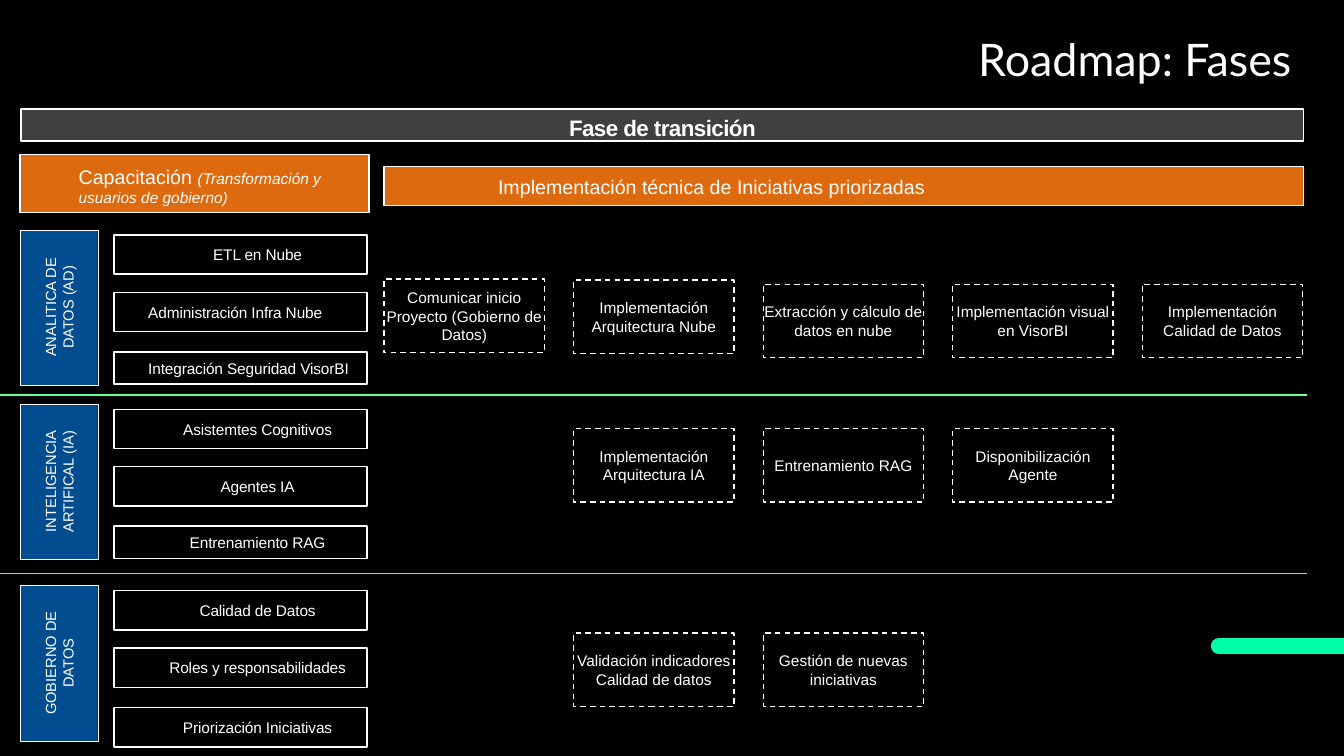
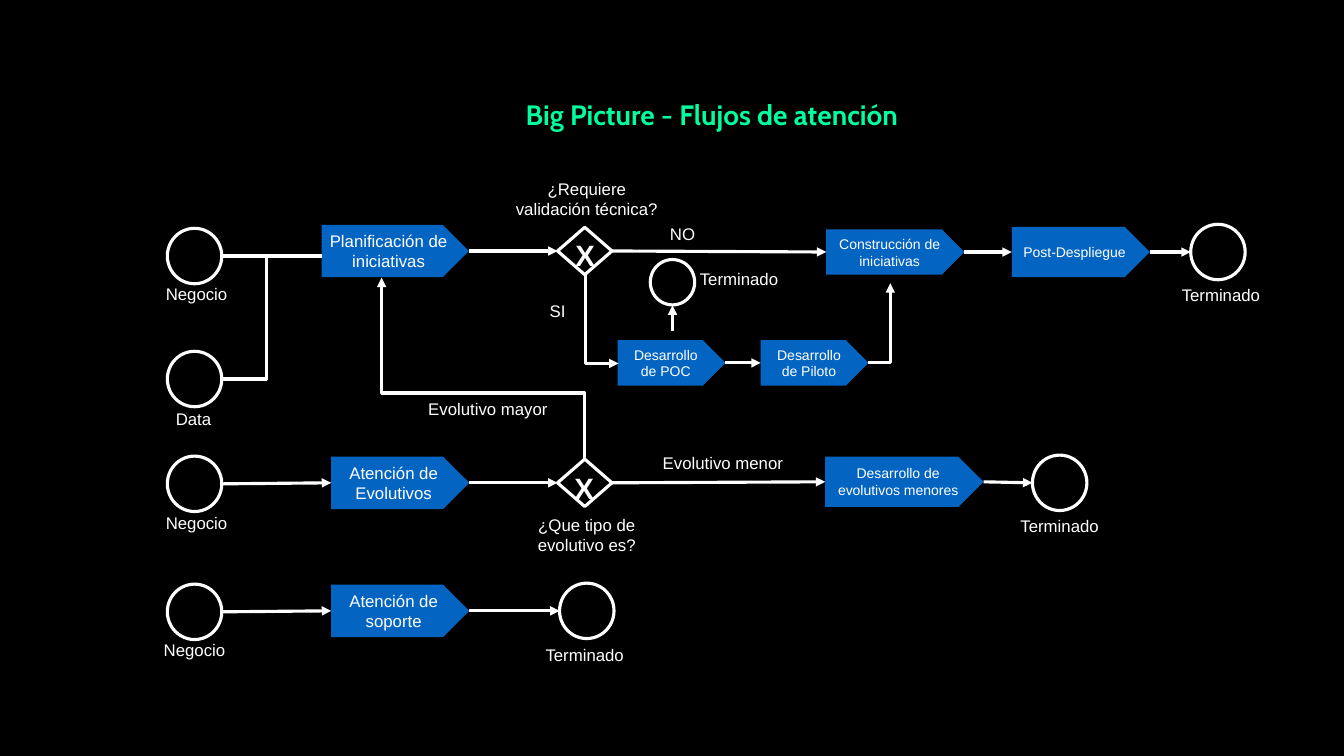
from dataclasses import dataclass

from lxml import etree
from pptx import Presentation
from pptx.dml.color import RGBColor
from pptx.enum.dml import MSO_LINE
from pptx.enum.shapes import MSO_CONNECTOR, MSO_SHAPE
from pptx.enum.text import MSO_ANCHOR, PP_ALIGN
from pptx.oxml.ns import qn
from pptx.util import Inches, Pt

LEFT, CENTER, RIGHT = PP_ALIGN.LEFT, PP_ALIGN.CENTER, PP_ALIGN.RIGHT
MIDDLE, TOP = MSO_ANCHOR.MIDDLE, MSO_ANCHOR.TOP
STRAIGHT, ELBOW = MSO_CONNECTOR.STRAIGHT, MSO_CONNECTOR.ELBOW
RECTANGLE, CIRCLE = MSO_SHAPE.RECTANGLE, MSO_SHAPE.OVAL
DIAMOND, PLATE = MSO_SHAPE.DIAMOND, MSO_SHAPE.PENTAGON
DASH = MSO_LINE.DASH
SIDE_LEFT, SIDE_RIGHT = 1, 3


@dataclass(frozen=True)
class Theme:
    width: float = 13.33
    height: float = 7.5
    back: str = "000000"
    white: str = "FFFFFF"
    gray: str = "404040"
    orange: str = "DE6A10"
    navy: str = "024C90"
    blue: str = "0464C1"
    accent: str = "00FFA9"
    divider: str = "69FF99"
    heading: str = "00FF9F"
    body_font: str = "Arial"
    title_font: str = "Lato"
    heading_font: str = "Cabin"
    title: float = 32
    subtitle: float = 20
    mark: float = 21
    phase: float = 16
    stage: float = 14
    label: float = 12
    item: float = 11
    area: float = 10.5
    small: float = 10
    thin: float = 1
    flow: float = 2.25


THEME = Theme()

AREAS = [
    {
        "name": "ANALITICA DE DATOS (AD)", "top": 2.28, "last_height": 0.32,
        "courses": [("ETL en Nube", CENTER), ("Administración Infra Nube", LEFT),
                    ("Integración Seguridad VisorBI", LEFT)],
        "row": 2.82,
        "initiatives": [(0, "Comunicar inicio Proyecto (Gobierno de Datos)", 0.05),
                        (1, "Implementación Arquitectura Nube", 0.04),
                        (2, "Extracción y cálculo de datos en nube", 0),
                        (3, "Implementación visual en VisorBI", 0),
                        (4, "Implementación Calidad de Datos", 0)],
    },
    {
        "name": "INTELIGENCIA ARTIFICAL (IA)", "top": 4.01, "last_height": 0.32,
        "courses": [("Asistemtes Cognitivos", CENTER), ("Agentes IA", CENTER),
                    ("Entrenamiento RAG", CENTER)],
        "row": 4.25,
        "initiatives": [(1, "Implementación Arquitectura IA", 0),
                        (2, "Entrenamiento RAG", 0),
                        (3, "Disponibilización Agente", 0)],
    },
    {
        "name": "GOBIERNO DE DATOS", "top": 5.81, "last_height": 0.39,
        "courses": [("Calidad de Datos", CENTER), ("Roles y responsabilidades", CENTER),
                    ("Priorización Iniciativas", CENTER)],
        "row": 6.28,
        "initiatives": [(1, "Validación indicadores Calidad de datos", 0),
                        (2, "Gestión de nuevas iniciativas", 0)],
    },
]
COURSE_OFFSETS = (0.05, 0.62, 1.21)
COURSE_HEIGHT = 0.39
DIVIDERS = (3.92, 5.69)
FIRST_COLUMN, COLUMN_STEP = 3.81, 1.88

EVENT = (0.54, 0.55)
GATE = (0.54, 0.47)
TASK = (1.37, 0.52)
STEP = (1.07, 0.45)

NODES = {
    "business": (CIRCLE, 1.93, 2.54, EVENT, "", 0),
    "data": (CIRCLE, 1.93, 3.76, EVENT, "", 0),
    "change request": (CIRCLE, 1.93, 4.8, EVENT, "", 0),
    "support request": (CIRCLE, 1.93, 6.07, EVENT, "", 0),
    "support end": (CIRCLE, 5.82, 6.06, EVENT, "", 0),
    "change end": (CIRCLE, 10.51, 4.79, EVENT, "", 0),
    "release end": (CIRCLE, 12.08, 2.5, EVENT, "", 0),
    "trial end": (CIRCLE, 6.67, 2.8, (0.44, 0.45), "", 0),
    "validation": (DIAMOND, 5.8, 2.49, GATE, "", 0),
    "change type": (DIAMOND, 5.8, 4.79, GATE, "", 0),
    "planning": (PLATE, 3.92, 2.49, (1.46, 0.52), "Planificación de iniciativas", THEME.label),
    "changes": (PLATE, 3.97, 4.79, TASK, "Atención de Evolutivos", THEME.label),
    "support": (PLATE, 3.97, 6.06, TASK, "Atención de soporte", THEME.label),
    "trial": (PLATE, 6.66, 3.6, STEP, "Desarrollo de POC", THEME.small),
    "pilot": (PLATE, 8.08, 3.6, STEP, "Desarrollo de Piloto", THEME.small),
    "minor changes": (PLATE, 8.97, 4.78, (1.57, 0.5), "Desarrollo de evolutivos menores",
                      THEME.small),
    "building": (PLATE, 8.88, 2.5, (1.37, 0.45), "Construcción de iniciativas", THEME.small),
    "release": (PLATE, 10.72, 2.5, (1.37, 0.5), "Post-Despliegue", THEME.small),
}
PLATE_MARGIN = {THEME.label: 0.06, THEME.small: 0.09}

FLOWS = [
    ("change request", "changes"), ("support request", "support"),
    ("planning", "validation"), ("changes", "change type"), ("support", "support end"),
    ("validation", "building"), ("change type", "minor changes"), ("trial", "pilot"),
    ("building", "release"), ("release", "release end"), ("minor changes", "change end"),
]
LOOSE_FLOWS = [((2.2, 2.54), (3.19, 2.54), False), ((6.67, 3.28), (6.67, 3.03), True)]
BENDS = [
    {"at": (2.2, 2.54, 0.44, 1.22), "turn": 0, "flip": "flipV", "arrow": False},
    {"at": (3.89, 2.65, 1.8, 2.01), "turn": 270, "flip": "flipV", "arrow": True, "middle": 36400},
    {"at": (5.53, 3, 0.88, 0.33), "turn": 270, "flip": "flipH", "arrow": True},
    {"at": (8.61, 2.81, 0.22, 0.79), "turn": 0, "flip": "flipV", "arrow": True},
]
LABELS = [
    ("Negocio", 1.95, 2.77, 0.9), ("Data", 1.92, 4.01, 0.9),
    ("Negocio", 1.95, 5.04, 0.9), ("Negocio", 1.93, 6.3, 0.9),
    ("¿Requiere validación técnica?", 5.82, 1.72, 1.69),
    ("¿Que tipo de evolutivo es?", 5.82, 5.06, 1.3),
    ("NO", 6.77, 2.17, 1.08), ("SI", 5.53, 2.93, 1.08),
    ("Evolutivo mayor", 4.84, 3.91, 1.66), ("Evolutivo menor", 7.17, 4.44, 1.66),
    ("Terminado", 5.8, 6.35, 1.08), ("Terminado", 10.51, 5.07, 1.08),
    ("Terminado", 12.11, 2.78, 1.08), ("Terminado", 7.33, 2.62, 1.08),
]
MARKS = [(5.67, 2.28), (5.66, 4.59)]


def color(value):
    return RGBColor.from_string(value)


def inches(values):
    return [Inches(value) for value in values]


def new_page(deck):
    page = deck.slides.add_slide(deck.slide_layouts[6])
    page.background.fill.solid()
    page.background.fill.fore_color.rgb = color(THEME.back)
    return page


def write(box, text, size, align=CENTER, anchor=MIDDLE, margins=(0, 0, 0, 0),
          font=THEME.body_font, ink=THEME.white, bold=False, tracking=0, spacing=None):
    frame = box.text_frame
    frame.word_wrap = True
    frame.vertical_anchor = anchor
    (frame.margin_left, frame.margin_top,
     frame.margin_right, frame.margin_bottom) = inches(margins)
    frame.text = text
    para = frame.paragraphs[0]
    para.alignment = align
    para.line_spacing = spacing
    span = para.runs[0]
    style(span, size, font, ink, bold)
    if tracking:
        span.font._element.set("spc", str(tracking))
    return para


def style(span, size, font=THEME.body_font, ink=THEME.white, bold=False, italic=False):
    span.font.size = Pt(size)
    span.font.name = font
    span.font.color.rgb = color(ink)
    span.font.bold = bold
    span.font.italic = italic


def add_box(page, at, kind=RECTANGLE, fill=None, line=THEME.thin, dash=None):
    box = page.shapes.add_shape(kind, *inches(at))
    box.shadow.inherit = False
    if fill:
        box.fill.solid()
        box.fill.fore_color.rgb = color(fill)
    else:
        box.fill.background()
    if line:
        box.line.color.rgb = color(THEME.white)
        box.line.width = Pt(line)
        box.line.dash_style = dash
    else:
        box.line.fill.background()
    return box


def add_text(page, at, text, size, **options):
    options = {"anchor": TOP, "margins": (0.1, 0.05, 0.1, 0.05), **options}
    return write(page.shapes.add_textbox(*inches(at)), text, size, **options)


def add_line(page, start, end, ink=THEME.white, width=THEME.flow, arrow=False,
             kind=STRAIGHT, cap=None):
    line = page.shapes.add_connector(kind, *inches((*start, *end)))
    line.line.color.rgb = color(ink)
    line.line.width = Pt(width)
    outline = line.line._get_or_add_ln()
    if cap:
        outline.set("cap", cap)
    if arrow:
        etree.SubElement(outline, qn("a:tailEnd"), type="triangle")
    etree.SubElement(line.element.spPr, qn("a:effectLst"))
    return line


def add_bend(page, at, turn, flip, arrow, middle=None):
    left, top, width, height = at
    line = add_line(page, (left, top), (left + width, top + height), arrow=arrow, kind=ELBOW)
    frame = line.element.spPr.find(qn("a:xfrm"))
    frame.set("rot", str(turn * 60000))
    frame.set(flip, "1")
    outline = line.element.spPr.find(qn("a:prstGeom"))
    if middle:
        guides = outline.find(qn("a:avLst"))
        etree.SubElement(guides, qn("a:gd"), name="adj1", fmla=f"val {middle}")
    else:
        outline.set("prst", "bentConnector2")


def build_area(page, area):
    top = area["top"]
    band = add_box(page, (0.2, top, 0.77, 1.54), fill=THEME.navy, line=0.25)
    write(band, area["name"], THEME.area, margins=(0.06,) * 4)
    band.text_frame._txBody.bodyPr.set("vert", "vert270")
    heights = (COURSE_HEIGHT, COURSE_HEIGHT, area["last_height"])
    for (text, align), offset, height in zip(area["courses"], COURSE_OFFSETS, heights):
        course = add_box(page, (1.13, top + offset, 2.51, height))
        write(course, text, THEME.item, align, margins=(0.34, 0, 0, 0), tracking=-10)
    for column, text, lift in area["initiatives"]:
        left = FIRST_COLUMN + column * COLUMN_STEP
        initiative = add_box(page, (left, area["row"] - lift, 1.59, 0.73), dash=DASH)
        write(initiative, text, THEME.item)


def build_roadmap(deck):
    page = new_page(deck)
    add_text(page, (2.6, 0.27, 10.31, 0.64), "Roadmap: Fases", THEME.title,
             align=RIGHT, font=THEME.title_font)
    add_line(page, (12.09, 6.41), (THEME.width, 6.41), THEME.accent, 11.5, cap="rnd")
    phase = add_box(page, (0.21, 1.08, 12.72, 0.32), fill=THEME.gray)
    write(phase, "Fase de transición", THEME.phase, margins=(0, 0.05, 0, 0),
          bold=True, tracking=-40)
    training = add_box(page, (0.2, 1.53, 3.46, 0.58), fill=THEME.orange)
    para = write(training, "Capacitación ", THEME.stage, LEFT, margins=(0.58, 0.04, 0, 0))
    detail = para.add_run()
    detail.text = "(Transformación y usuarios de gobierno)"
    style(detail, THEME.item, italic=True)
    delivery = add_box(page, (FIRST_COLUMN, 1.65, 9.12, 0.39), fill=THEME.orange)
    write(delivery, "Implementación técnica de Iniciativas priorizadas", THEME.stage, LEFT,
          margins=(1.13, 0.02, 0, 0))
    for area in AREAS:
        build_area(page, area)
    for height in DIVIDERS:
        add_line(page, (0, height), (12.96, height), THEME.divider, THEME.thin)


def add_node(page, kind, middle, center, size, text, type_size):
    width, height = size
    at = (middle - width / 2, center - height / 2, width, height)
    if kind != PLATE:
        return add_box(page, at, kind, line=THEME.flow)
    plate = add_box(page, at, kind, fill=THEME.blue, line=None)
    write(plate, text, type_size, margins=(PLATE_MARGIN[type_size],) * 4)
    return plate


def add_flow(page, boxes, source, target):
    kind_from, x_from, y_from, size_from = NODES[source][:4]
    kind_to, x_to, y_to, size_to = NODES[target][:4]
    line = add_line(page, (x_from + size_from[0] / 2, y_from),
                    (x_to - size_to[0] / 2, y_to), arrow=True)
    if kind_from != CIRCLE:
        line.begin_connect(boxes[source], SIDE_RIGHT)
    if kind_to != CIRCLE:
        line.end_connect(boxes[target], SIDE_LEFT)


def build_flows(deck):
    page = new_page(deck)
    add_text(page, (3.19, 0.96, 7.74, 0.48), "Big Picture - Flujos de atención", THEME.subtitle,
             font=THEME.heading_font, ink=THEME.heading, bold=True, spacing=0.9)
    boxes = {name: add_node(page, *node) for name, node in NODES.items()}
    for source, target in FLOWS:
        add_flow(page, boxes, source, target)
    for start, end, arrow in LOOSE_FLOWS:
        add_line(page, start, end, arrow=arrow)
    for bend in BENDS:
        add_bend(page, **bend)
    for left, top in MARKS:
        add_text(page, (left, top, 0.27, 0.42), "X", THEME.mark, bold=True,
                 margins=(0, 0, 0, 0), spacing=1.2)
    for text, middle, top, width in LABELS:
        add_text(page, (middle - width / 2, top, width, 0.3), text, THEME.label)


def main():
    deck = Presentation()
    deck.slide_width, deck.slide_height = inches((THEME.width, THEME.height))
    build_roadmap(deck)
    build_flows(deck)
    deck.save("out.pptx")


if __name__ == "__main__":
    main()
